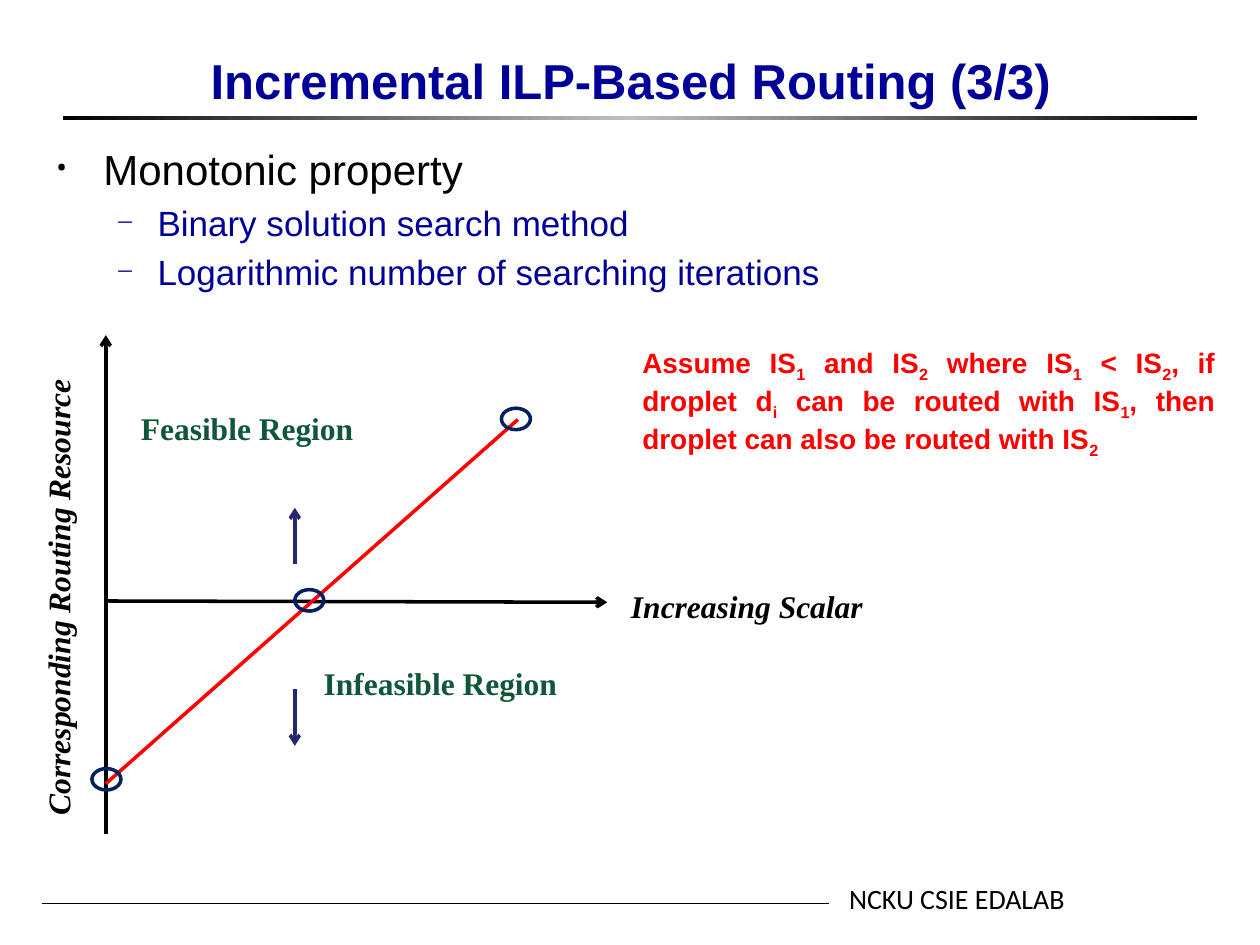
import copy
import pptx
import pptx.util
import pptx.dml.color
import pptx.enum.shapes
import pptx.enum.text
import pptx.oxml
import pptx.oxml.ns

PX = 9144  # one px is 1/100 inch
SERIF, SANS = "Times New Roman", "Arial"
BLACK, BLUE, RED, GREEN = "000000", "000099", "FF0000", "105638"
NAVY, INDIGO = "002060", "262673"

# Content
TITLE = "Incremental ILP-Based Routing (3/3)"
# text, level, size, colour, bullet, bullet percent, left margin, indent, space before
POINTS = [
    ("Monotonic property", 0, 24, BLACK, "․", 120, 38, -38, 0),
    ("Binary solution search method", 1, 20, BLUE, "─", 55, 81, -31, 4),
    ("Logarithmic number of searching iterations", 1, 20, BLUE, "─", 55, 81, -31, 4),
]
# Plain and subscript pieces take turns
CLAIM = ["Assume IS", "1", " and IS", "2", " where IS", "1", " < IS", "2",
         ", if droplet d", "i", " can be routed with IS", "1",
         ", then droplet can also be routed with IS", "2"]
# text, box, font, size, colour, bold, italic
LABELS = [
    ("NCKU CSIE EDALAB", (664, 695, 219, 37), "Calibri", 16, BLACK, False, False),
    ("Increasing Scalar", (491, 461, 243, 40), SERIF, 18, BLACK, True, True),
    ("Feasible Region", (102, 320, 250, 40), SERIF, 18, GREEN, True, False),
    ("Infeasible Region", (247, 522, 253, 40), SERIF, 18, GREEN, True, False),
]
AXIS = ("Corresponding Routing Resource", (26, 266, 50, 391), SERIF, 18, BLACK, True, True)
# start, end, colour, width, arrow
LINES = [
    ((33, 717), (658, 717), BLACK, 0.5, False),
    ((84, 477), (482, 478), BLACK, 2, True),
    ((84, 662), (84, 266), BLACK, 2, True),
    ((84, 622), (411, 333), RED, 2, False),
    ((234, 448), (234, 403), INDIGO, 2, True),
    ((234, 547), (234, 592), INDIGO, 2, True),
]
RINGS = [(234, 468), (398, 324), (73, 610)]

ALIGN = pptx.enum.text.PP_ALIGN
SHAPE = pptx.enum.shapes.MSO_SHAPE


def emu(*nums):
    return [n * PX for n in nums]


def tint(hue):
    return pptx.dml.color.RGBColor.from_string(hue)


def add_xml(node, tag, **attrs):
    return pptx.oxml.ns and node.append(make(tag, **attrs))


def make(tag, **attrs):
    text = " ".join(f'{key}="{val}"' for key, val in attrs.items())
    return pptx.oxml.parse_xml(f'<{tag} {pptx.oxml.ns.nsdecls("a")} {text}/>')


def style(font, name, size, hue, bold=False, italic=False):
    font.name, font.size = name, pptx.util.Pt(size)
    font.bold, font.italic = bold, italic
    font.color.rgb = tint(hue)


def place(shape, box):
    shape.left, shape.top, shape.width, shape.height = emu(*box)
    shape.text_frame.auto_size = pptx.enum.text.MSO_AUTO_SIZE.NONE


def label(text, box, *look):
    frame = slide.shapes.add_textbox(*emu(*box)).text_frame
    frame.word_wrap = True
    frame.text = text
    for run in frame.paragraphs[0].runs:
        style(run.font, *look)
    return frame


deck = pptx.Presentation()
deck.slide_width, deck.slide_height = emu(1000, 750)
slide = deck.slides.add_slide(deck.slide_layouts[1])

# Title and the gradient rule under it
title = slide.shapes.title
place(title, (55, 0, 891, 92))
title.text_frame.text = TITLE
title.text_frame.vertical_anchor = pptx.enum.text.MSO_ANCHOR.BOTTOM
head = title.text_frame.paragraphs[0]
head.alignment = ALIGN.CENTER
style(head.runs[0].font, SANS, 28, BLUE, True)

rule = slide.shapes.add_shape(SHAPE.RECTANGLE, *emu(50, 92, 900, 3))
rule.shadow.inherit = False
rule.line.fill.background()
rule.fill.gradient()
rule.fill.gradient_angle = 0
first = rule.fill.gradient_stops[0]
first.color.rgb, first.position = tint(BLACK), 0
stop = rule._element.spPr.xpath(".//a:gs")[0]
stop.addnext(copy.deepcopy(stop))
for stop, hue, pos in zip(rule.fill.gradient_stops, (BLACK, "C0C0C0", BLACK), (0, 0.5, 1)):
    stop.color.rgb, stop.position = tint(hue), pos

# Bullet list
body = slide.placeholders[1]
place(body, (34, 109, 908, 581))
body.text_frame.text = "\n".join(point[0] for point in POINTS)
for para, point in zip(body.text_frame.paragraphs, POINTS):
    text, level, size, hue, mark, scale, left, hang, gap = point
    para.level, para.alignment = level, ALIGN.JUSTIFY
    para.space_before = pptx.util.Pt(gap)
    props = para._p.get_or_add_pPr()
    props.set("marL", str(left * PX))
    props.set("indent", str(hang * PX))
    ink = make("a:buClr")
    ink.append(make("a:srgbClr", val=hue))
    props.append(ink)
    props.append(make("a:buSzPct", val=scale * 1000))
    props.append(make("a:buFont", typeface=SERIF))
    props.append(make("a:buChar", char=mark))
    style(para.runs[0].font, SANS, size, hue)

# Claim with subscripts
claim = label("", (500, 269, 474, 91)).paragraphs[0]
claim.alignment = ALIGN.JUSTIFY
for i, part in enumerate(CLAIM):
    run = claim.add_run()
    run.text = part
    style(run.font, SANS, 16, RED, True)
    if i % 2:
        run.font._element.set("baseline", "-25000")

# Axes, curve, region arrows and footer line
for start, end, hue, width, arrow in LINES:
    line = slide.shapes.add_connector(
        pptx.enum.shapes.MSO_CONNECTOR.STRAIGHT, *emu(*start, *end))
    line.line.color.rgb = tint(hue)
    line.line.width = pptx.util.Pt(width)
    if arrow:
        line.line._get_or_add_ln().append(make("a:tailEnd", type="arrow"))
    line._element.spPr.append(make("a:effectLst"))

# Rings on the curve
for x, y in RINGS:
    ring = slide.shapes.add_shape(SHAPE.OVAL, *emu(x, y, 23, 17))
    ring.shadow.inherit = False
    ring.fill.background()
    ring.line.color.rgb = tint(NAVY)
    ring.line.width = pptx.util.Pt(2)

# Labels, the axis name reading upwards
for item in LABELS:
    label(*item)
label(*AXIS)._txBody.bodyPr.set("vert", "vert270")

deck.save("out.pptx")
